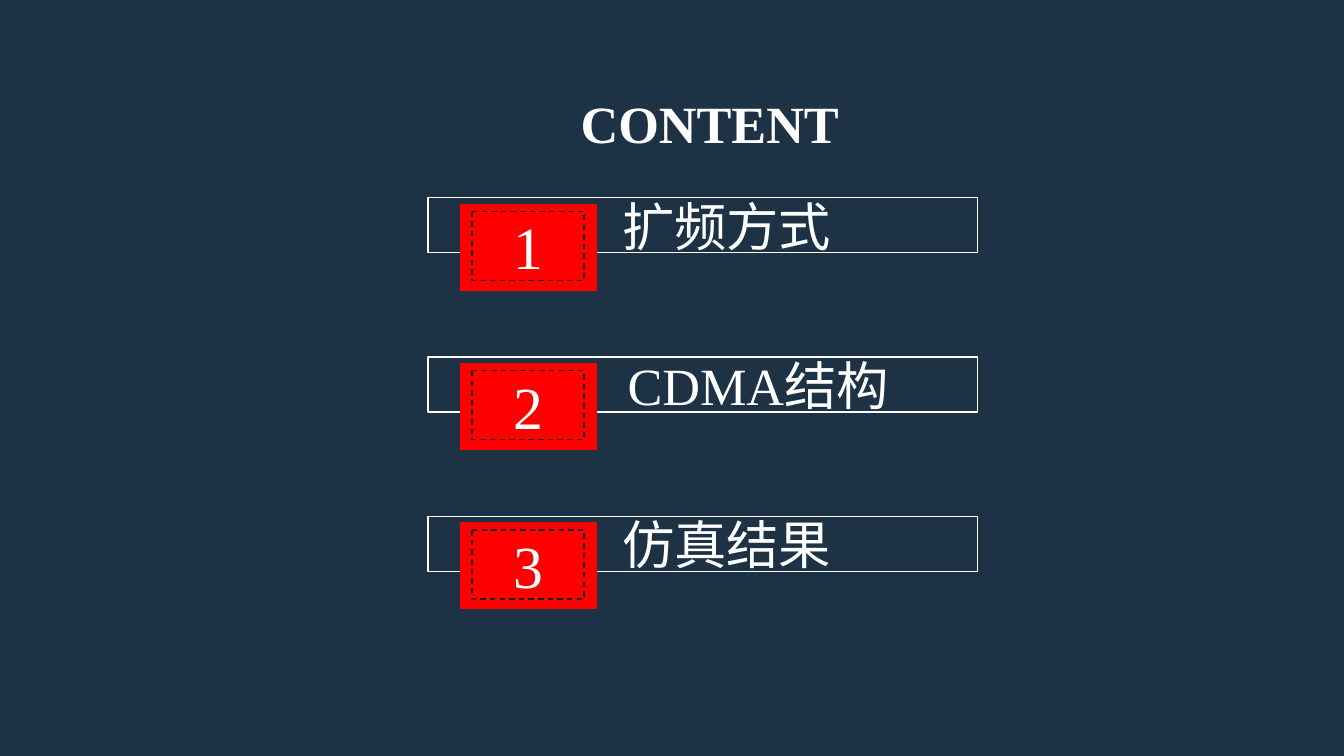
"""Build the contents slide with three numbered sections."""
import dataclasses

import pptx
import pptx.dml.color
import pptx.enum.dml
import pptx.enum.shapes
import pptx.enum.text
import pptx.util

Cm = pptx.util.Cm
Shape = pptx.enum.shapes.MSO_SHAPE
Anchor = pptx.enum.text.MSO_ANCHOR
Align = pptx.enum.text.PP_ALIGN
AutoSize = pptx.enum.text.MSO_AUTO_SIZE


def color(code):
    return pptx.dml.color.RGBColor.from_string(code)


@dataclasses.dataclass(frozen=True)
class Theme:
    background: str = "1D3245"
    light: str = "FFFFFF"
    accent: str = "FF0000"
    dash: str = "1C1C1C"
    font: str = "Times New Roman"
    text_size: int = 28
    number_size: int = 32
    line_width: float = 0.75


class ContentSlide:
    def __init__(self, slide, theme):
        self.slide = slide
        self.theme = theme
        slide.background.fill.solid()
        slide.background.fill.fore_color.rgb = color(theme.background)

    def set_text(self, shape, text, size, bold=False, align=Align.LEFT, anchor=Anchor.TOP, wrap=True):
        frame = shape.text_frame
        frame.text = text
        frame.word_wrap = wrap
        frame.vertical_anchor = anchor
        paragraph = frame.paragraphs[0]
        paragraph.alignment = align
        paragraph.font.name = self.theme.font
        paragraph.font.size = pptx.util.Pt(size)
        paragraph.font.bold = bold
        paragraph.font.color.rgb = color(self.theme.light)

    def title(self, text, left, top, width, height):
        shape = self.slide.shapes.title
        shape.left, shape.top, shape.width, shape.height = Cm(left), Cm(top), Cm(width), Cm(height)
        self.set_text(shape, text, self.theme.text_size, bold=True)
        shape.text_frame.auto_size = AutoSize.NONE

    def box(self, shapes, kind, left, top, width, height, fill=None, line=None):
        shape = shapes.add_shape(kind, Cm(left), Cm(top), Cm(width), Cm(height))
        shape.shadow.inherit = False
        if fill:
            shape.fill.solid()
            shape.fill.fore_color.rgb = color(fill)
        else:
            shape.fill.background()
        if line:
            shape.line.color.rgb = color(line)
            shape.line.width = pptx.util.Pt(self.theme.line_width)
        else:
            shape.line.fill.background()
        return shape

    def badge(self, number, left, top):
        shapes = self.slide.shapes.add_group_shape().shapes
        process = Shape.FLOWCHART_PROCESS
        self.box(shapes, process, left, top, 2.6, 1.65, fill=self.theme.accent)
        inner = self.box(shapes, process, left + 0.23, top + 0.15, 2.12, 1.3, line=self.theme.dash)
        inner.line.dash_style = pptx.enum.dml.MSO_LINE.DASH
        self.set_text(inner, str(number), self.theme.number_size,
                      align=Align.CENTER, anchor=Anchor.MIDDLE, wrap=False)

    def label(self, text, left, top, width):
        shape = self.slide.shapes.add_textbox(Cm(left), Cm(top), Cm(width), Cm(1.45))
        self.set_text(shape, text, self.theme.text_size)
        shape.text_frame.auto_size = AutoSize.SHAPE_TO_FIT_TEXT

    def section(self, number, text, top, label_left, label_width):
        self.box(self.slide.shapes, Shape.RECTANGLE, 8.09, top, 10.39, 1.04, line=self.theme.light)
        self.badge(number, 8.69, top + 0.11)
        self.label(text, label_left, top - 0.2, label_width)


def main():
    presentation = pptx.Presentation()
    presentation.slide_width, presentation.slide_height = Cm(25.4), Cm(14.29)
    slide = presentation.slides.add_slide(presentation.slide_layouts[5])
    content = ContentSlide(slide, Theme())
    content.title("CONTENT", 10.72, 1.6, 5.59, 1.45)
    sections = [("扩频方式", 11.51, 5.08), ("CDMA结构", 11.61, 6.88), ("仿真结果", 11.51, 5.08)]
    for index, (text, left, width) in enumerate(sections):
        content.section(index + 1, text, 3.74 + 3.01 * index, left, width)
    presentation.save("out.pptx")


if __name__ == "__main__":
    main()
